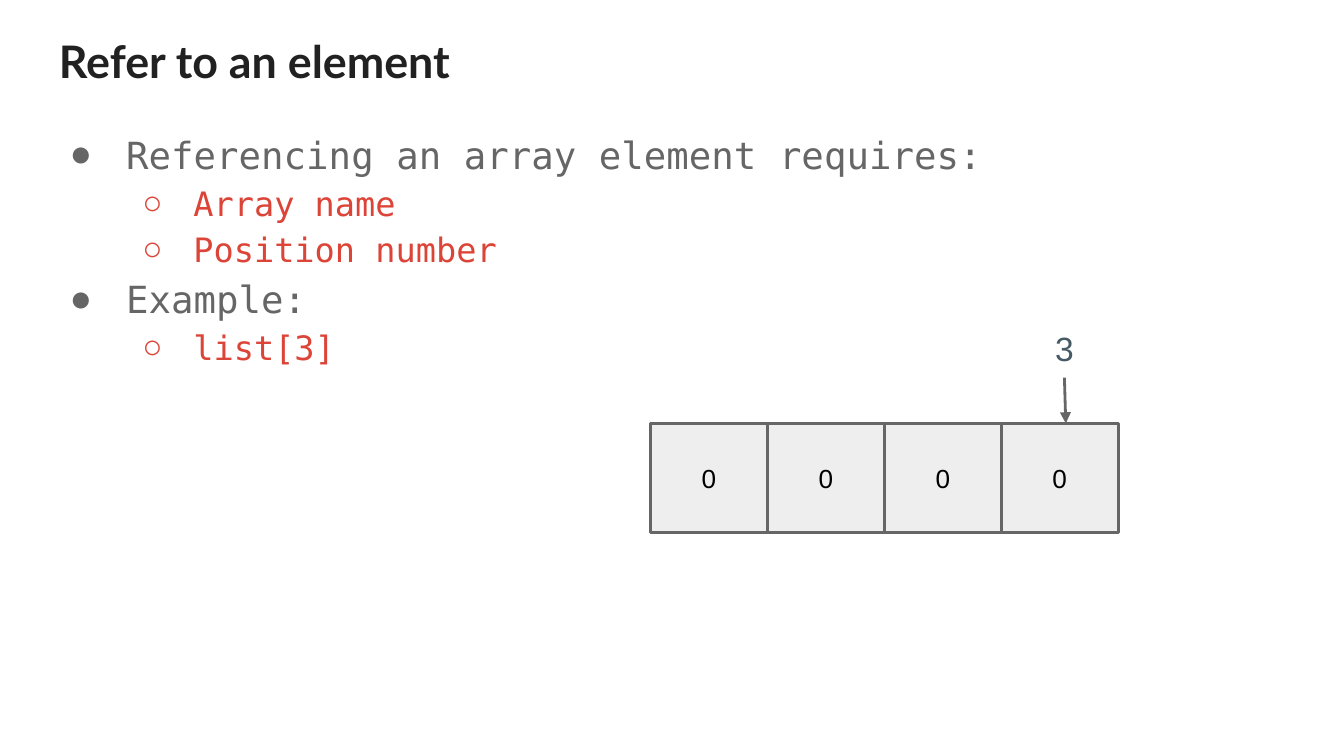
import pptx
import pptx.dml.color
import pptx.enum.shapes
import pptx.enum.text
import pptx.oxml
import pptx.oxml.ns
import pptx.util
from lxml import etree

GREY, RED = "666666", "DB4437"
MONO = "DejaVu Sans Mono"
ALIGN = pptx.enum.text.PP_ALIGN
ANCHOR = pptx.enum.text.MSO_ANCHOR


def color(hex_string):
    return pptx.dml.color.RGBColor.from_string(hex_string)


def write(shape, lines, anchor=ANCHOR.TOP, align=ALIGN.LEFT):
    """Fill a shape with (text, font values, colour) lines; return the paragraphs."""
    frame = shape.text_frame
    frame.word_wrap = True
    frame.vertical_anchor = anchor
    for side in ("left", "top", "right", "bottom"):
        setattr(frame, f"margin_{side}", pptx.util.Inches(0.1))
    for number, (text, font_values, ink) in enumerate(lines):
        paragraph = frame.add_paragraph() if number else frame.paragraphs[0]
        paragraph.alignment = align
        run = paragraph.add_run()
        run.text = text
        for name, value in font_values.items():
            setattr(run.font, name, value)
        run.font.color.rgb = color(ink)
    return frame.paragraphs


deck = pptx.Presentation()
deck.slide_width = pptx.util.Inches(10)
deck.slide_height = deck.slide_width * 9 // 16
slide = deck.slides.add_slide(deck.slide_layouts[6])
shapes = slide.shapes

# Heading and bullets share the left margin and the width
margin = pptx.util.Inches(0.34)
text_width = deck.slide_width - 2 * margin
heading = shapes.add_textbox(margin, pptx.util.Inches(0.15), text_width, pptx.util.Inches(0.49))
write(heading, [("Refer to an element",
                 {"size": pptx.util.Pt(24), "name": "Lato", "bold": True}, "212121")])

levels = [
    {"size": 20, "ink": GREY, "bullet": "●", "left": 0.5, "hang": 0.42},
    {"size": 18, "ink": RED, "bullet": "○", "left": 1, "hang": 0.38},
]
points = [
    (0, "Referencing an array element requires:"),
    (1, "Array name"),
    (1, "Position number"),
    (0, "Example:"),
    (1, "list[3]"),
]
explanation = shapes.add_textbox(margin, pptx.util.Inches(0.83), text_width, pptx.util.Inches(4.17))
paragraphs = write(explanation, [
    (text, {"size": pptx.util.Pt(levels[depth]["size"]), "name": MONO}, levels[depth]["ink"])
    for depth, text in points])
for paragraph, (depth, _) in zip(paragraphs, points):
    level = levels[depth]
    paragraph.level = depth
    paragraph.line_spacing = 1.15
    properties = paragraph._p.get_or_add_pPr()
    properties.set("marL", str(pptx.util.Inches(level["left"])))
    properties.set("indent", str(-pptx.util.Inches(level["hang"])))
    bullet_color = etree.SubElement(properties, pptx.oxml.ns.qn("a:buClr"))
    etree.SubElement(bullet_color, pptx.oxml.ns.qn("a:srgbClr"), val=level["ink"])
    etree.SubElement(properties, pptx.oxml.ns.qn("a:buFont"), typeface="Arial")
    etree.SubElement(properties, pptx.oxml.ns.qn("a:buChar"), char=level["bullet"])

# The array: one row of equal cells
array_left, array_top = pptx.util.Inches(4.84), pptx.util.Inches(3.15)
cell_width, cell_height = pptx.util.Inches(0.87), pptx.util.Inches(0.81)
for column, value in enumerate(["0", "0", "0", "0"]):
    cell = shapes.add_shape(pptx.enum.shapes.MSO_SHAPE.RECTANGLE,
                            array_left + column * cell_width, array_top, cell_width, cell_height)
    cell.shadow.inherit = False
    cell.fill.solid()
    cell.fill.fore_color.rgb = color("EEEEEE")
    cell.line.color.rgb = color(GREY)
    cell.line.width = pptx.util.Pt(1.5)
    write(cell, [(value, {"size": pptx.util.Pt(14), "name": "Arial"}, "000000")],
          ANCHOR.MIDDLE, ALIGN.CENTER)

# The index and its arrow to the last cell
index_side = pptx.util.Inches(0.44)
index = shapes.add_textbox(pptx.util.Inches(7.7), pptx.util.Inches(2.37), index_side, index_side)
write(index, [("3", {"size": pptx.util.Pt(18), "name": "Arial"}, "455A64")],
      ANCHOR.MIDDLE, ALIGN.CENTER)
arrow = shapes.add_connector(pptx.enum.shapes.MSO_CONNECTOR.STRAIGHT,
                             index.left + index_side // 2, index.top + index_side,
                             pptx.util.Inches(7.93), array_top)
arrow.begin_connect(index, 2)
arrow.line.color.rgb = color(GREY)
arrow.line.width = pptx.util.Pt(1.5)
etree.SubElement(arrow.line._get_or_add_ln(), pptx.oxml.ns.qn("a:tailEnd"), type="triangle")
etree.SubElement(arrow._element.spPr, pptx.oxml.ns.qn("a:effectLst"))

deck.save("out.pptx")
